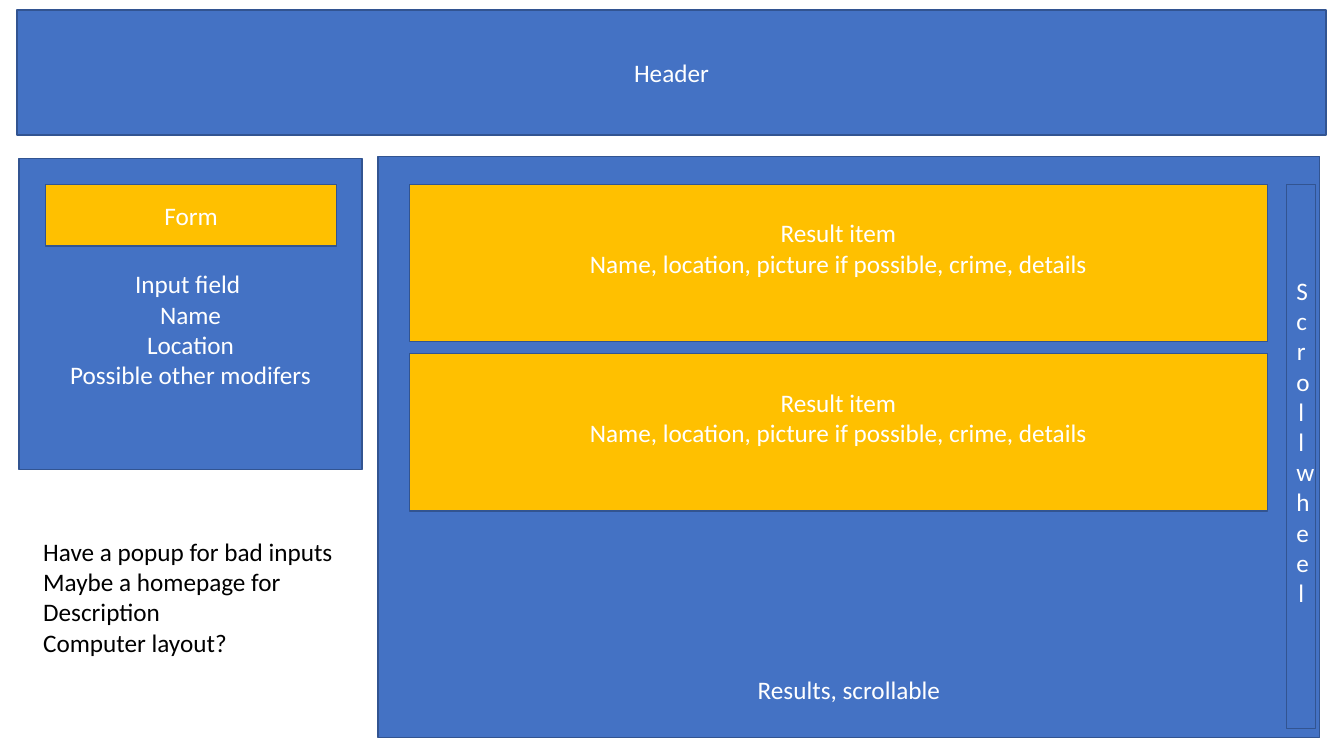
"""Build a wireframe slide of a search page with a form and scrollable results."""
from dataclasses import dataclass

from pptx import Presentation
from pptx.dml.color import RGBColor
from pptx.enum import shapes, text
from pptx.util import Inches, Pt


@dataclass(frozen=True)
class Theme:
    panel: RGBColor = RGBColor(0x44, 0x72, 0xC4)
    accent: RGBColor = RGBColor(0xFF, 0xC0, 0x00)
    outline: RGBColor = RGBColor(0x32, 0x54, 0x91)
    light: RGBColor = RGBColor(0xFF, 0xFF, 0xFF)
    dark: RGBColor = RGBColor(0x00, 0x00, 0x00)
    font: str = "Calibri"
    size: Pt = Pt(18)
    border: Pt = Pt(1)


@dataclass(frozen=True)
class Block:
    """A wireframe box in inches, with space reserved in text lines."""
    wording: str
    left: float
    top: float
    width: float
    height: float
    fill: RGBColor
    lines_above: int = 0
    lines_below: int = 0


THEME = Theme()
LINE_HEIGHT = 0.3
INSET = 0.05
INNER_TOP = 1.83
RESULT_HEIGHT = 1.56
RESULT_STEP = 1.68
RESULT_COUNT = 2

header = Block("Header", 0.17, 0.1, 12.98, 1.24, THEME.panel)
inputs = Block("Input field \nName\nLocation\nPossible other modifers",
               0.19, 1.57, 3.4, 3.09, THEME.panel, lines_above=2, lines_below=1)
results = Block("Results, scrollable", 3.75, 1.55, 9.34, 5.77, THEME.panel, lines_above=16)
form = Block("Form", 0.45, INNER_TOP, 2.89, 0.61, THEME.accent)
result_items = [
    Block("Result item\nName, location, picture if possible, crime, details",
          4.06, INNER_TOP + row * RESULT_STEP, 8.51, RESULT_HEIGHT, THEME.accent, lines_below=1)
    for row in range(RESULT_COUNT)
]
scroll_wheel = Block("Scroll wheel", 12.76, INNER_TOP, 0.29, 5.4, THEME.panel, lines_below=1)


def write(frame, wording: str, color: RGBColor, align) -> None:
    """Fill a text frame and format every line alike."""
    frame.text = wording
    for paragraph in frame.paragraphs:
        paragraph.alignment = align
        for run in paragraph.runs:
            run.font.name = THEME.font
            run.font.size = THEME.size
            run.font.color.rgb = color


def draw_block(slide, block: Block) -> None:
    """Draw one outlined box with centred text."""
    box = slide.shapes.add_shape(
        shapes.MSO_SHAPE.RECTANGLE, Inches(block.left), Inches(block.top),
        Inches(block.width), Inches(block.height))
    box.shadow.inherit = False
    box.fill.solid()
    box.fill.fore_color.rgb = block.fill
    box.line.color.rgb = THEME.outline
    box.line.width = THEME.border
    frame = box.text_frame
    frame.word_wrap = True
    frame.vertical_anchor = text.MSO_ANCHOR.MIDDLE
    frame.margin_top = Inches(INSET + block.lines_above * LINE_HEIGHT)
    frame.margin_bottom = Inches(INSET + block.lines_below * LINE_HEIGHT)
    write(frame, block.wording, THEME.light, text.PP_ALIGN.CENTER)


def draw_ideas(slide) -> None:
    """Write the open design questions below the form."""
    ideas = slide.shapes.add_textbox(Inches(0.33), Inches(5.27), Inches(3.11), Inches(1.31))
    ideas.text_frame.word_wrap = False
    ideas.text_frame.auto_size = text.MSO_AUTO_SIZE.SHAPE_TO_FIT_TEXT
    write(ideas.text_frame,
          "Have a popup for bad inputs\nMaybe a homepage for\nDescription\nComputer layout?",
          THEME.dark, text.PP_ALIGN.LEFT)


def main() -> None:
    """Assemble and save the slide."""
    deck = Presentation()
    deck.slide_width, deck.slide_height = Inches(13.33), Inches(7.5)
    slide = deck.slides.add_slide(deck.slide_layouts.get_by_name("Blank"))
    for block in (header, inputs, results):
        draw_block(slide, block)
    draw_ideas(slide)
    for block in (form, *result_items, scroll_wheel):
        draw_block(slide, block)
    deck.save("out.pptx")


main()
